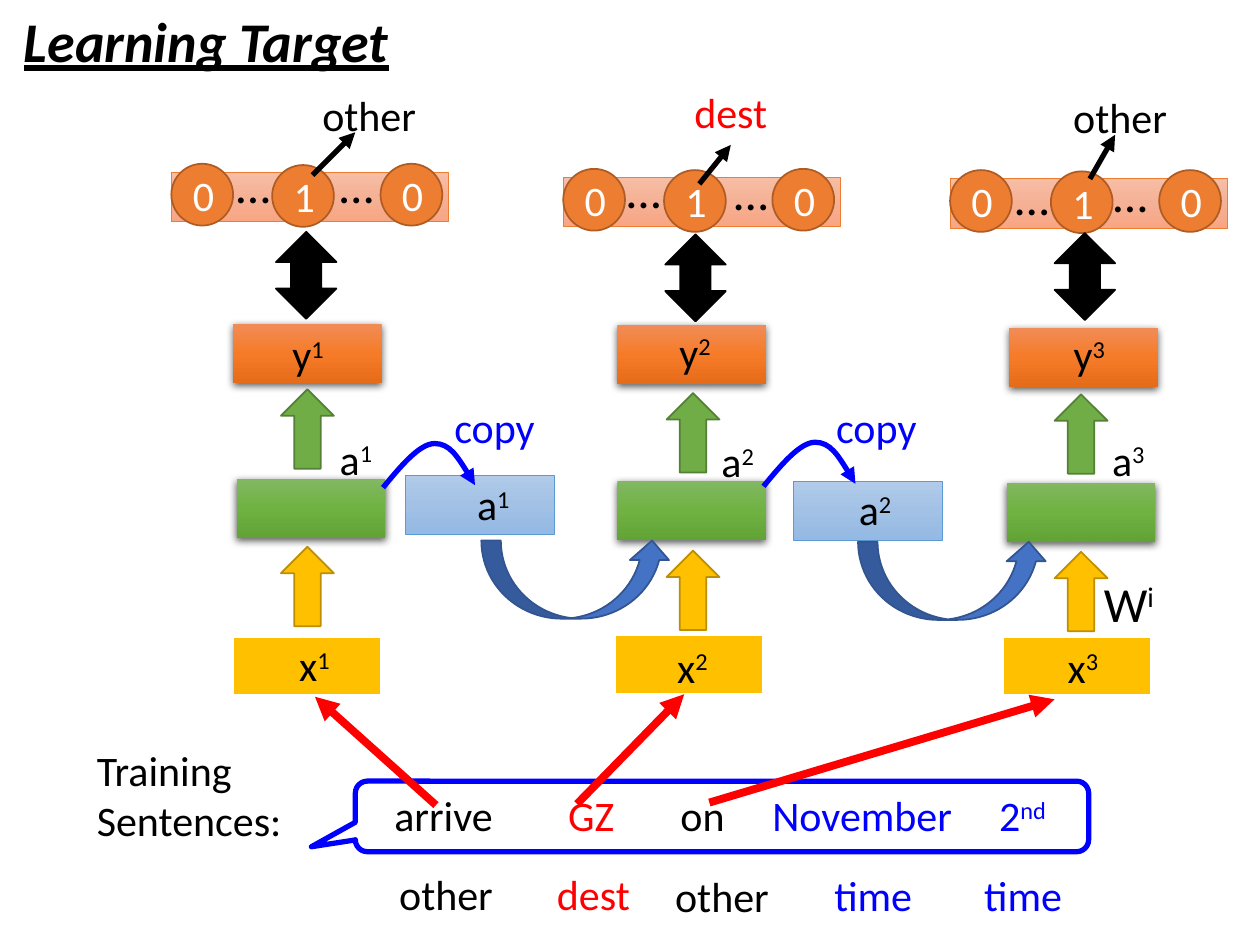
from copy import deepcopy

from lxml import etree
from pptx import Presentation
from pptx import util as u
from pptx.dml import color
from pptx.enum import shapes, text
from pptx.oxml import ns

BLACK, WHITE, RED, BLUE = "000000", "FFFFFF", "FF0000", "0000FF"
AMBER, GREEN, ORANGE, INDIGO = "FFC000", "70AD47", "ED7D31", "4472C4"
GREEN_FADE = ("81B861", "6FB242", "62A336")
ORANGE_FADE = ("F18C57", "F67B28", "E56C19")
BLUE_FADE = ("B1CBE9", "A3C1E5", "93B9E4")
PEACH_FADE = ("F7BDA5", "F5B196", "F8A582")
BOX = (1.18, 0.47)
ARROW = (0.42, 0.63)
KIND = shapes.MSO_SHAPE


def rgb(value):
    """Turn a hex string into a colour."""
    return color.RGBColor.from_string(value)


def apply_format(target, values):
    """Set every named value on the target."""
    for name, value in values.items():
        setattr(target, name, value)


def add_xml(parent, tag, **attributes):
    """Append a DrawingML element with the given attributes."""
    return etree.SubElement(parent, ns.qn(tag), attributes)


def paint_line(line, hue, width):
    """Give a line its colour and width in points."""
    line.color.rgb = rgb(hue)
    line.width = u.Pt(width)


def paint_fill(fill, hue):
    """Fill with nothing, one colour, or a downward fade of three colours."""
    if hue is None:
        fill.background()
    elif isinstance(hue, str):
        fill.solid()
        fill.fore_color.rgb = rgb(hue)
    else:
        fill.gradient()
        fill.gradient_angle = 270
        stops = fill._fill._gradFill.gsLst
        stops.append(deepcopy(stops[0]))
        for order, (stop, shade) in enumerate(zip(fill.gradient_stops, hue)):
            stop.color.rgb = rgb(shade)
            stop.position = order / 2


def add_figure(parent, kind, at, fill, outline=None, width=1.0):
    """Draw a preset shape."""
    figure = parent.add_shape(kind, *map(u.Inches, at))
    paint_fill(figure.fill, fill)
    if outline:
        paint_line(figure.line, outline, width)
    else:
        figure.line.fill.background()
    figure.shadow.inherit = False
    return figure


def add_raised_box(parent, at, fade):
    """Draw a faded box that casts a soft shadow below itself."""
    box = add_figure(parent, KIND.RECTANGLE, at, fade)
    effects = box._element.spPr.find(ns.qn("a:effectLst"))
    shadow = add_xml(effects, "a:outerShdw", blurRad="57150", dist="19050",
                     dir="5400000", algn="ctr", rotWithShape="0")
    black = add_xml(shadow, "a:srgbClr", val=BLACK)
    add_xml(black, "a:alpha", val="63000")


def write(paragraph, wording, hue=BLACK, size=24, **style):
    """Write wording, raising whatever follows a caret."""
    base, _, raised = wording.partition("^")
    for part in filter(None, (base, raised)):
        run = paragraph.add_run()
        run.text = part
        apply_format(run.font, {"name": "Calibri", "size": u.Pt(size), **style})
        run.font.color.rgb = rgb(hue)
        if part is raised:
            run._r.get_or_add_rPr().set("baseline", "30000")


def add_label(parent, at, *lines, hue=BLACK, size=24, align=text.PP_ALIGN.CENTER):
    """Add a text box with one paragraph per line."""
    frame = parent.add_textbox(*map(u.Inches, at)).text_frame
    apply_format(frame, {"word_wrap": True,
                         "auto_size": text.MSO_AUTO_SIZE.SHAPE_TO_FIT_TEXT})
    for order, wording in enumerate(lines):
        paragraph = frame.add_paragraph() if order else frame.paragraphs[0]
        paragraph.alignment = align
        write(paragraph, wording, hue, size)
    return frame


def add_arrowhead(shape):
    """End the shape's line in a triangle."""
    add_xml(shape.line._get_or_add_ln(), "a:tailEnd", type="triangle")


def add_pointer(parent, start, end, hue, width):
    """Draw a straight arrow."""
    pointer = parent.add_connector(shapes.MSO_CONNECTOR.STRAIGHT,
                                   *map(u.Inches, start + end))
    paint_line(pointer.line, hue, width)
    add_arrowhead(pointer)
    add_xml(pointer._element.spPr, "a:effectLst")


def add_copy_curve(parent, x, y):
    """Draw the curved arrow that carries a state to its memory box."""
    offsets = ((0.14, -0.17), (0.29, -0.35), (0.41, -0.35),
               (0.53, -0.35), (0.63, -0.19), (0.73, -0.02))
    builder = parent.build_freeform(u.Inches(x), u.Inches(y))
    builder.add_line_segments([(u.Inches(x + dx), u.Inches(y + dy))
                               for dx, dy in offsets], close=False)
    curve = builder.convert_to_shape()
    outline = next(curve._element.iter(ns.qn("a:path")))
    segments = outline.findall(ns.qn("a:lnTo"))
    for first in range(0, len(segments), 3):
        bezier = add_xml(outline, "a:cubicBezTo")
        for segment in segments[first:first + 3]:
            bezier.append(segment[0])
            outline.remove(segment)
    paint_fill(curve.fill, None)
    paint_line(curve.line, BLUE, 3)
    curve.shadow.inherit = False
    add_arrowhead(curve)


def add_slot_vector(parent, x, y):
    """Draw the one-hot output bar with its three circles."""
    group = parent.add_group_shape().shapes
    add_figure(group, KIND.RECTANGLE, (x, y, 2.2, 0.39), PEACH_FADE, ORANGE, 0.5)
    for dx, dy, digit in ((0.8, -0.06, "1"), (0, -0.07, "0"), (1.66, -0.07, "0")):
        circle = add_figure(group, KIND.OVAL, (x + dx, y + dy, 0.49, 0.49),
                            ORANGE, "AF5C24")
        circle.text_frame.vertical_anchor = text.MSO_ANCHOR.MIDDLE
        paragraph = circle.text_frame.paragraphs[0]
        paragraph.alignment = text.PP_ALIGN.CENTER
        write(paragraph, digit, WHITE)


def add_title(slide, wording):
    """Place and format the title."""
    title = slide.shapes.title
    apply_format(title, dict(zip(("left", "top", "width", "height"),
                                 map(u.Inches, (0.09, 0, 3.12, 0.64)))))
    apply_format(title.text_frame, {
        "word_wrap": False, "vertical_anchor": text.MSO_ANCHOR.TOP,
        "auto_size": text.MSO_AUTO_SIZE.SHAPE_TO_FIT_TEXT})
    paragraph = title.text_frame.paragraphs[0]
    paragraph.alignment = text.PP_ALIGN.LEFT
    write(paragraph, wording, size=32, bold=True, italic=True, underline=True)


def add_network(parent):
    """Draw the three time steps from input to output."""
    for x, y in ((1.85, 5.05), (4.88, 5.04), (7.96, 5.05)):
        add_figure(parent, KIND.RECTANGLE, (x, y, *BOX), AMBER, WHITE, 1.5)
    for x, y in ((1.88, 3.8), (4.9, 3.82), (7.99, 3.83)):
        add_raised_box(parent, (x, y, *BOX), GREEN_FADE)
    for x, y in ((1.85, 2.57), (4.9, 2.58), (8.01, 2.6)):
        add_raised_box(parent, (x, y, *BOX), ORANGE_FADE)
    for x, y in ((2.23, 3.09), (5.29, 3.12), (8.37, 3.13)):
        add_figure(parent, KIND.UP_ARROW, (x, y + 1.25, *ARROW), AMBER, "BD8E00")
        add_figure(parent, KIND.UP_ARROW, (x, y, *ARROW), GREEN, "538035")
    for x, y in ((3.22, 3.77), (6.3, 3.82)):
        add_figure(parent, KIND.RECTANGLE, (x, y, *BOX), BLUE_FADE, "5B9BD5", 0.5)
    for x, y in ((3.82, 4.29), (6.81, 4.3)):
        add_figure(parent, KIND.CURVED_UP_ARROW, (x, y, 1.51, 0.62), INDIGO, "325491")
    for x, y in ((3.04, 3.87), (6.06, 3.86)):
        add_copy_curve(parent, x, y)
    for x in (3.35, 6.38):
        add_label(parent, (x, 3.14, 1.15, 0.5), "copy", hue=BLUE)
    for wording, x, y in (("x^1", 2, 5.03), ("x^2", 5, 5.04), ("x^3", 8.1, 5.04),
                          ("y^1", 1.95, 2.56), ("y^2", 5.02, 2.54), ("y^3", 8.15, 2.56),
                          ("a^1", 2.33, 3.39), ("a^2", 5.36, 3.41), ("a^3", 8.46, 3.4),
                          ("a^1", 3.42, 3.75), ("a^2", 6.45, 3.79)):
        add_label(parent, (x, y, 0.99, 0.5), wording)
    add_label(parent, (8.61, 4.5, 0.7, 0.57), "W^i", size=28)


def add_targets(parent):
    """Draw the target vectors and their slot names."""
    for x, y in ((1.36, 1.37), (4.47, 1.41), (7.54, 1.42)):
        add_slot_vector(parent, x, y)
    for x, y in ((2.19, 1.84), (5.28, 1.86), (8.37, 1.85)):
        add_figure(parent, KIND.UP_DOWN_ARROW, (x, y, 0.48, 0.69), BLACK, BLACK)
    for slot, x, y, hue in (("other", 2.42, 0.66, BLACK), ("dest", 5.29, 0.64, RED),
                            ("other", 8.38, 0.68, BLACK)):
        add_label(parent, (x, y, 1.02, 0.5), slot, hue=hue)
    for start, end in (((2.48, 1.39), (2.82, 1.05)), ((5.55, 1.46), (5.8, 1.15)),
                       ((8.65, 1.42), (8.85, 1.07))):
        add_pointer(parent, start, end, BLACK, 3)
    for x, y in ((1.77, 1.18), (2.59, 1.18), (4.87, 1.22),
                 (5.72, 1.23), (7.95, 1.27), (8.73, 1.25)):
        add_label(parent, (x, y, 0.48, 0.57), "…", size=28)


def add_sentence(parent):
    """Draw the training sentence, its slots and its links to the inputs."""
    frame = add_label(parent, (2.53, 6.22, 6.11, 0.5), "arrive", align=text.PP_ALIGN.LEFT)
    frame.margin_left = u.Inches(0.6)
    paragraph = frame.paragraphs[0]
    tabs = add_xml(paragraph._p.get_or_add_pPr(), "a:tabLst")
    for word, stop, hue in (("GZ", 1.38, RED), ("on", 2.27, BLACK),
                            ("November", 3, BLUE), ("2^nd", 4.8, BLUE)):
        add_xml(tabs, "a:tab", pos=str(u.Inches(stop)), algn="l")
        write(paragraph, "\t" + word, hue)
    callout = add_figure(parent, KIND.ROUNDED_RECTANGULAR_CALLOUT,
                         (2.82, 6.2, 5.82, 0.56), None, BLUE, 3)
    for order, value in enumerate((-0.56, 0.43, 0.17)):
        callout.adjustments[order] = value
    for start, end in (((3.46, 6.39), (2.5, 5.53)), ((4.58, 6.38), (5.43, 5.51)),
                       ((5.63, 6.37), (8.37, 5.55))):
        add_pointer(parent, start, end, RED, 4.5)
    add_label(parent, (0.67, 5.86, 1.98, 0.91), "Training", "Sentences:",
              align=text.PP_ALIGN.LEFT)
    for slot, x, y, hue in (("other", 3.03, 6.84, BLACK), ("dest", 4.2, 6.84, RED),
                            ("other", 5.22, 6.86, BLACK), ("time", 6.42, 6.85, BLUE),
                            ("time", 7.61, 6.85, BLUE)):
        add_label(parent, (x, y, 1.02, 0.5), slot, hue=hue)


def main():
    """Build the slide and save it."""
    deck = Presentation()
    apply_format(deck, {"slide_width": u.Inches(10), "slide_height": u.Inches(7.5)})
    slide = deck.slides.add_slide(deck.slide_layouts[5])
    add_title(slide, "Learning Target")
    for add_part in (add_network, add_sentence, add_targets):
        add_part(slide.shapes)
    deck.save("out.pptx")


if __name__ == "__main__":
    main()
